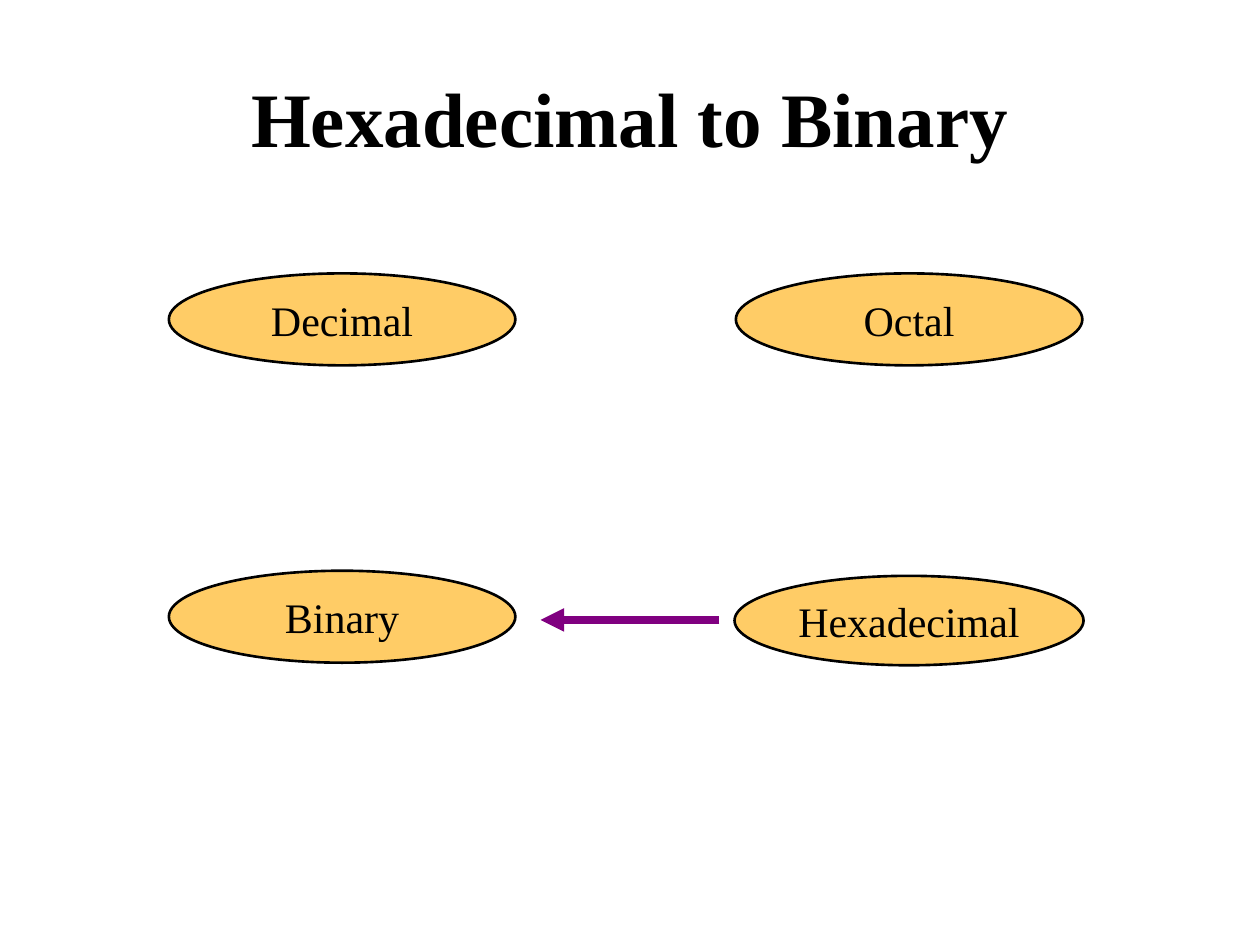
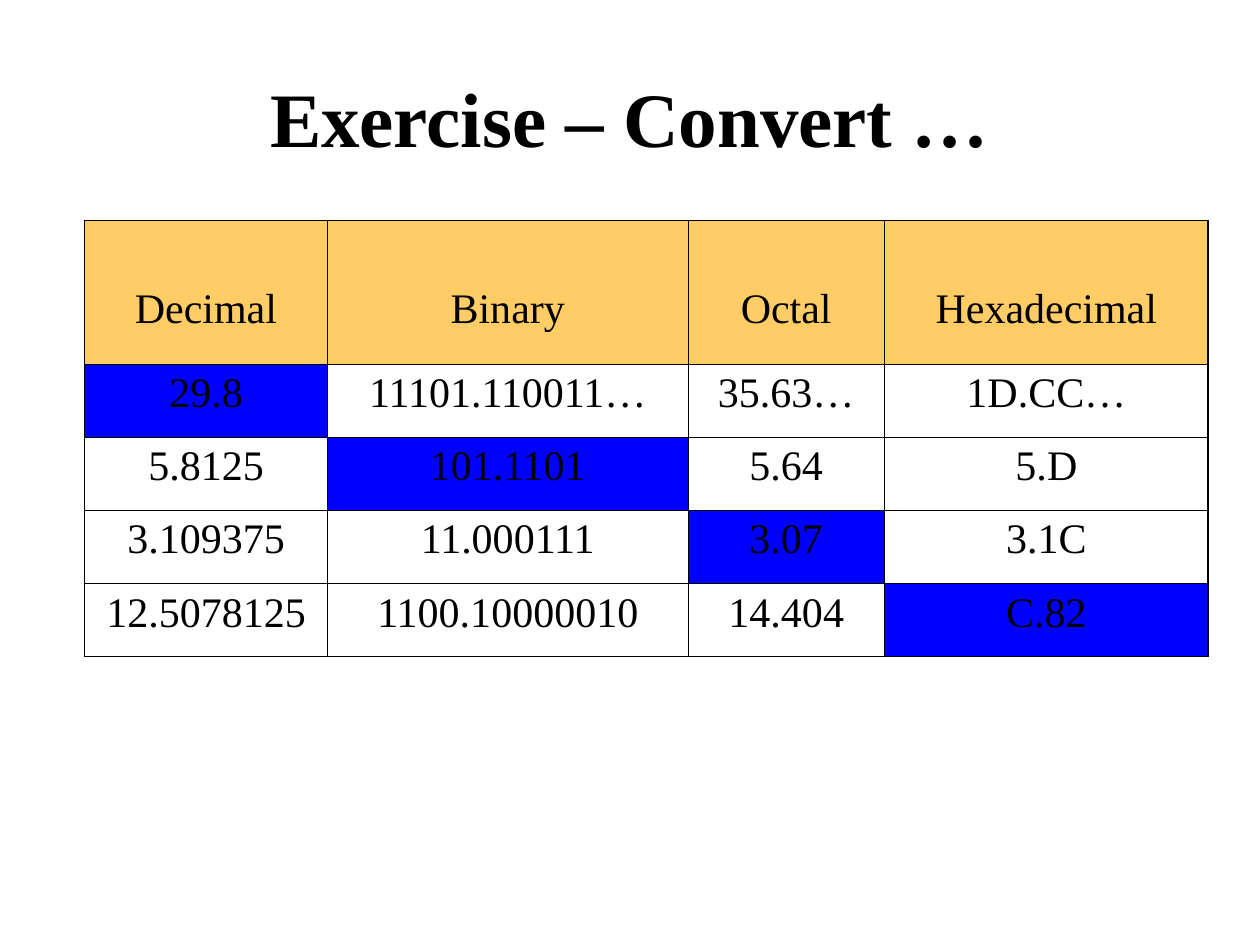
from lxml import etree
from pptx import Presentation
from pptx.dml.color import RGBColor
from pptx.enum.shapes import MSO_CONNECTOR as CONN, MSO_SHAPE as SHAPE
from pptx.enum.text import MSO_ANCHOR as ANCHOR, PP_ALIGN as ALIGN
from pptx.oxml.ns import qn
from pptx.util import Inches, Pt

BLACK = RGBColor(0x00, 0x00, 0x00)
AMBER = RGBColor(0xFF, 0xCC, 0x66)
BLUE = RGBColor(0x00, 0x00, 0xFF)
PURPLE = RGBColor(0x80, 0x00, 0x80)

TITLE = {"size": Pt(44), "bold": True}
BODY = {"size": Pt(24), "bold": False}
OUTER, INNER = Pt(1.08), Pt(0.45)

SYSTEMS = [
    ("Decimal", 1.34, 2.17, 2.75, 0.73),
    ("Octal", 5.84, 2.17, 2.75, 0.73),
    ("Binary", 1.34, 4.53, 2.75, 0.73),
    ("Hexadecimal", 5.83, 4.57, 2.77, 0.71),
]
CONVERSIONS = [
    ("Decimal", "Binary", "Octal", "Hexadecimal"),
    ("29.8", "11101.110011…", "35.63…", "1D.CC…"),
    ("5.8125", "101.1101", "5.64", "5.D"),
    ("3.109375", "11.000111", "3.07", "3.1C"),
    ("12.5078125", "1100.10000010", "14.404", "C.82"),
]
COL_WIDTHS = [1.93, 2.86, 1.56, 2.57]
ROW_HEIGHTS = [1.14] + [0.58] * 4


class Deck:
    """Holds the shared style and the current slide."""

    font = "Times New Roman"

    def __init__(self):
        self.prs = Presentation()
        self.prs.slide_width, self.prs.slide_height = Inches(10), Inches(7.5)

    def slide(self, title):
        self.s = self.prs.slides.add_slide(self.prs.slide_layouts[6])
        sp = self.s.shapes.add_textbox(Inches(0.5), Inches(0.3), Inches(9), Inches(1.25))
        self.text(sp.text_frame, title, TITLE)
        sp.text_frame.word_wrap = True
        sp.text_frame.vertical_anchor = ANCHOR.MIDDLE

    def text(self, tf, text, style):
        p = tf.paragraphs[0]
        p.alignment = ALIGN.CENTER
        r = p.add_run()
        r.text = text
        for name, value in {"name": self.font, **style}.items():
            setattr(r.font, name, value)
        r.font.color.rgb = BLACK

    def ellipse(self, text, *box):
        sp = self.s.shapes.add_shape(SHAPE.OVAL, *map(Inches, box))
        sp.shadow.inherit = False
        sp.fill.solid()
        sp.fill.fore_color.rgb = AMBER
        sp.line.color.rgb = BLACK
        sp.line.width = Pt(1.5)
        tf = sp.text_frame
        tf.word_wrap = False
        tf.vertical_anchor = ANCHOR.MIDDLE
        self.text(tf, text, BODY)

    def arrow(self, *ends):
        sp = self.s.shapes.add_connector(CONN.STRAIGHT, *map(Inches, ends))
        sp.line.color.rgb = PURPLE
        sp.line.width = Pt(4.5)
        etree.SubElement(sp.line._get_or_add_ln(), qn("a:tailEnd"), type="triangle")
        etree.SubElement(sp._element.spPr, qn("a:effectLst"))

    def borders(self, cell, widths):
        tc_pr = cell._tc.get_or_add_tcPr()
        for side, width in widths.items():
            ln = etree.SubElement(tc_pr, qn(f"a:ln{side}"), w=str(int(width)))
            fill = etree.SubElement(ln, qn("a:solidFill"))
            etree.SubElement(fill, qn("a:srgbClr"), val=str(BLACK))

    def table(self, rows, col_widths, row_heights, left, top):
        box = (left, top, sum(col_widths), sum(row_heights))
        n_rows, n_cols = len(rows), len(col_widths)
        tbl = self.s.shapes.add_table(n_rows, n_cols, *map(Inches, box)).table
        tbl.first_row = tbl.horz_banding = False
        for col, width in zip(tbl.columns, col_widths):
            col.width = Inches(width)
        for i, (row, height) in enumerate(zip(rows, row_heights)):
            tbl.rows[i].height = Inches(height)
            for j, text in enumerate(row):
                cell = tbl.cell(i, j)
                edges = {"L": j == 0, "R": j == n_cols - 1, "T": i == 0, "B": i == n_rows - 1}
                self.borders(cell, {k: OUTER if edge else INNER for k, edge in edges.items()})
                cell.margin_top = Inches(0.05 if i else 0.52)
                if i == 0 or i == j + 1:
                    cell.fill.solid()
                    cell.fill.fore_color.rgb = BLUE if i else AMBER
                else:
                    cell.fill.background()
                self.text(cell.text_frame, text, BODY)


def main():
    deck = Deck()
    deck.slide("Hexadecimal to Binary")
    for system in SYSTEMS:
        deck.ellipse(*system)
    deck.arrow(5.71, 4.92, 4.29, 4.92)

    deck.slide("Exercise – Convert …")
    deck.table(CONVERSIONS, COL_WIDTHS, ROW_HEIGHTS, 0.67, 1.75)
    deck.prs.save("out.pptx")


if __name__ == "__main__":
    main()
